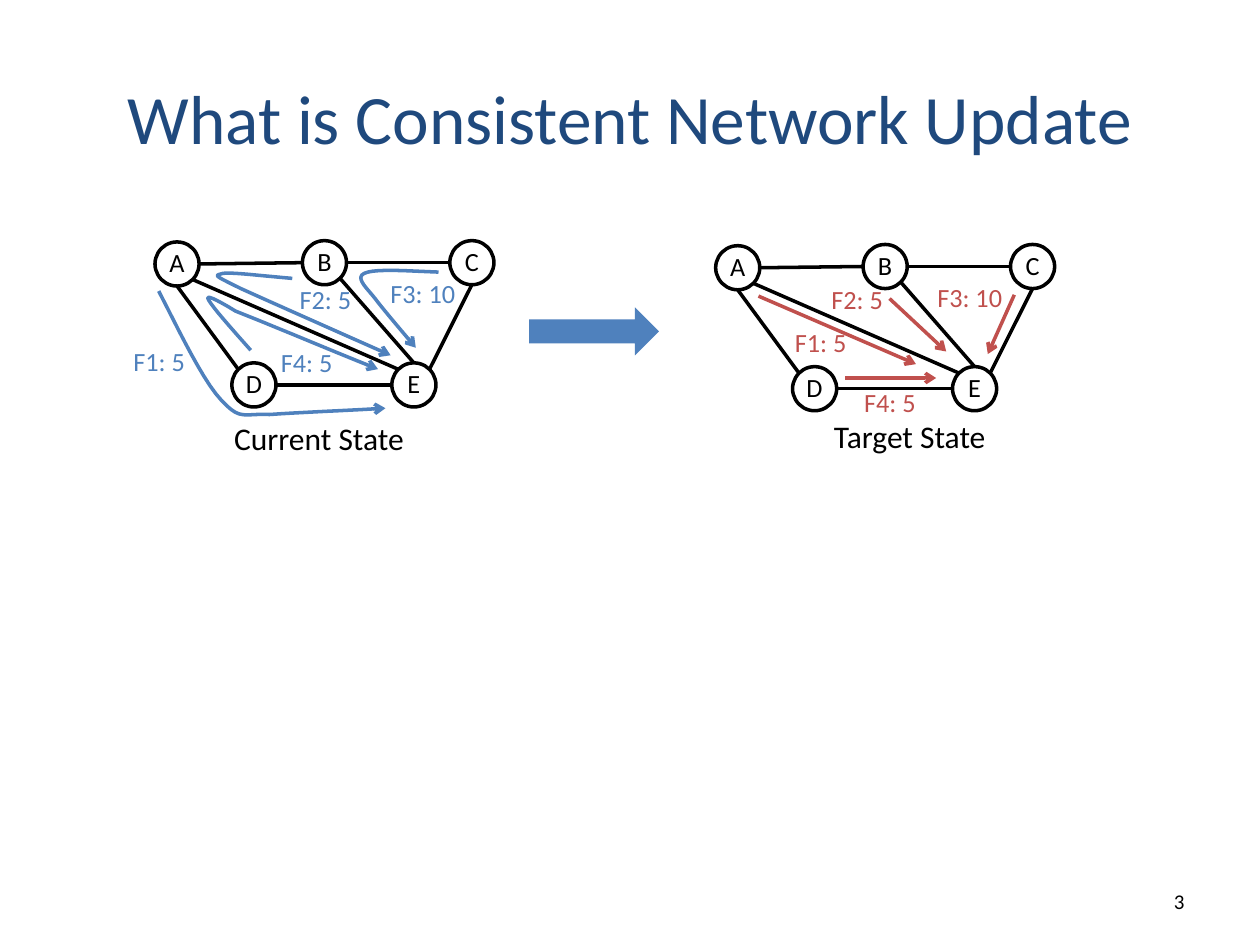
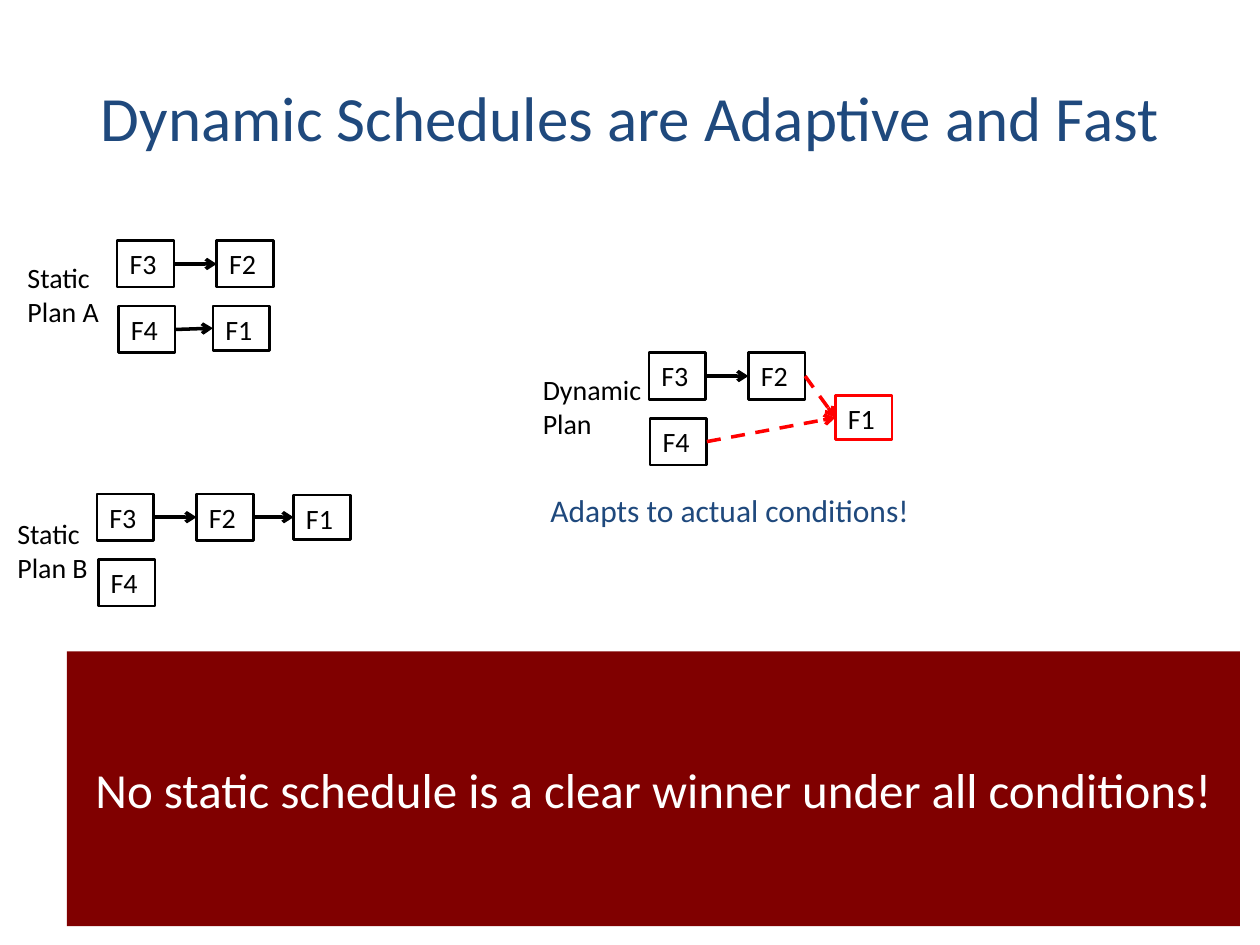
import math

from lxml import etree
from pptx import Presentation
from pptx.dml.color import RGBColor
from pptx.enum.dml import MSO_LINE
from pptx.enum.shapes import MSO_CONNECTOR, MSO_SHAPE
from pptx.enum.text import MSO_ANCHOR, PP_ALIGN
from pptx.oxml.ns import qn
from pptx.util import Inches, Pt

STRAIGHT = MSO_CONNECTOR.STRAIGHT
OVAL, RECTANGLE, RIGHT_ARROW = MSO_SHAPE.OVAL, MSO_SHAPE.RECTANGLE, MSO_SHAPE.RIGHT_ARROW
TOP, MIDDLE = MSO_ANCHOR.TOP, MSO_ANCHOR.MIDDLE
LEFT, CENTER, RIGHT = PP_ALIGN.LEFT, PP_ALIGN.CENTER, PP_ALIGN.RIGHT
DASH = MSO_LINE.DASH
LEFT_SITE, RIGHT_SITE = 1, 3

FONT = "Calibri"
COLORS = {
    "title": "1F497D", "text": "000000", "white": "FFFFFF", "current": "4F81BD",
    "target": "C0504D", "changed": "FF0000", "band": "800000",
}

# Network: node offsets, and links given as (node, angle, node, angle)
NODE_SIZE = 0.35
NODES = {"A": (0, 0.01), "B": (1.17, 0), "C": (2.34, 0), "D": (0.61, 0.97), "E": (1.88, 0.97)}
LINKS = [
    ("B", 180, "A", 0), ("C", 180, "B", 0), ("D", 225, "A", 90), ("E", 225, "A", 45),
    ("E", 180, "D", 0), ("C", 90, "E", 315), ("E", 270, "B", 45),
]

# Flows: first point, then three points for each curve
CURRENT_FLOWS = [
    [(0.03, 0.4), (0.21, 0.75), (0.38, 1.11), (0.53, 1.27),
     (0.68, 1.43), (0.7, 1.37), (0.91, 1.38), (1.2, 1.36), (1.5, 1.35), (1.83, 1.33)],
    [(2.25, 0.25), (2, 0.24), (1.74, 0.22), (1.66, 0.26),
     (1.58, 0.3), (1.7, 0.39), (1.77, 0.49), (1.84, 0.58), (2.07, 0.85), (2.07, 0.85)],
    [(1.09, 0.3), (0.85, 0.28), (0.61, 0.25), (0.54, 0.26),
     (0.47, 0.28), (0.46, 0.27), (0.68, 0.38), (0.9, 0.48), (1.87, 0.91), (1.87, 0.91)],
    [(0.76, 0.87), (0.6, 0.69), (0.44, 0.51), (0.42, 0.46),
     (0.4, 0.41), (0.64, 0.56), (0.64, 0.56), (1.02, 0.71), (1.39, 0.87), (1.77, 1.02)],
]
CURRENT_LABELS = [("F1: 5", -0.27, 0.78), ("F4: 5", 0.9, 0.79),
                  ("F2: 5", 1.05, 0.29), ("F3: 10", 1.77, 0.24)]
TARGET_FLOWS = [
    ((2.37, 0.4), (2.16, 0.87)), ((1.38, 0.43), (1.83, 0.85)),
    ((1.03, 1.06), (1.75, 1.06)), ((0.34, 0.41), (1.59, 0.95)),
]
TARGET_LABELS = [("F1: 5", 0.53, 0.6), ("F4: 5", 1.08, 1.08),
                 ("F2: 5", 0.82, 0.26), ("F3: 10", 1.66, 0.24)]


def color(name):
    return RGBColor.from_string(COLORS[name])


def write(shape, lines, size, color_name, align=LEFT, anchor=TOP):
    frame = shape.text_frame
    frame.word_wrap = True
    frame.vertical_anchor = anchor
    for index, line in enumerate(lines):
        paragraph = frame.add_paragraph() if index else frame.paragraphs[0]
        paragraph.alignment = align
        run = paragraph.add_run()
        run.text = line
        run.font.name, run.font.size = FONT, Pt(size)
        run.font.color.rgb = color(color_name)


def add_text(slide, box, lines, size, color_name="text", align=LEFT, anchor=TOP):
    shape = slide.shapes.add_textbox(*map(Inches, box))
    write(shape, lines, size, color_name, align, anchor)


def add_box(slide, kind, box, fill=None, line=None, width=2):
    shape = slide.shapes.add_shape(kind, *map(Inches, box))
    shape.shadow.inherit = False
    if fill:
        shape.fill.solid()
        shape.fill.fore_color.rgb = color(fill)
    else:
        shape.fill.background()
    if line:
        shape.line.color.rgb = color(line)
        shape.line.width = Pt(width)
    else:
        shape.line.fill.background()
    return shape


def style_line(shape, color_name, arrow=False):
    shape.line.color.rgb = color(color_name)
    shape.line.width = Pt(2)
    if arrow:
        outline = shape.line._get_or_add_ln()
        etree.SubElement(outline, qn("a:tailEnd"), type="arrow")


def add_line(slide, start, end, color_name="text", arrow=False):
    connector = slide.shapes.add_connector(STRAIGHT, *map(Inches, (*start, *end)))
    style_line(connector, color_name, arrow)
    etree.SubElement(connector._element.spPr, qn("a:effectLst"))
    return connector


def curve_points(points, steps=10):
    """Sample a chain of cubic curves."""
    sampled = [points[0]]
    for first in range(0, len(points) - 1, 3):
        controls = points[first:first + 4]
        for step in range(1, steps + 1):
            t = step / steps
            weights = [math.comb(3, i) * t ** i * (1 - t) ** (3 - i) for i in range(4)]
            sampled.append(tuple(sum(w * point[axis] for w, point in zip(weights, controls))
                                 for axis in (0, 1)))
    return sampled


def add_curve(slide, points, color_name):
    start, *others = [(Inches(x), Inches(y)) for x, y in curve_points(points)]
    builder = slide.shapes.build_freeform(*start)
    builder.add_line_segments(others, close=False)
    shape = builder.convert_to_shape()
    shape.shadow.inherit = False
    shape.fill.background()
    style_line(shape, color_name, arrow=True)


def add_titled_slide(presentation, title, size):
    slide = presentation.slides.add_slide(presentation.slide_layouts[5])
    shape = slide.shapes.title
    shape.left, shape.top, shape.width, shape.height = map(Inches, (0.5, 0.3, 9, 1.25))
    write(shape, [title], size, "title", CENTER, MIDDLE)
    return slide


def add_network(slide, left, top, labels, label_color):
    def rim(node, angle):
        x, y = NODES[node]
        radius, turn = NODE_SIZE / 2, math.radians(angle)
        return (left + x + radius * (1 + math.cos(turn)),
                top + y + radius * (1 + math.sin(turn)))

    for start, start_angle, end, end_angle in LINKS:
        add_line(slide, rim(start, start_angle), rim(end, end_angle))
    for name, (x, y) in NODES.items():
        node = add_box(slide, OVAL, (left + x, top + y, NODE_SIZE, NODE_SIZE), line="text")
        frame = node.text_frame
        frame.margin_left = frame.margin_right = frame.margin_top = 0
        frame.margin_bottom = Inches(0.03)
        write(node, [name], 15, "text", CENTER, MIDDLE)
    for label, x, y in labels:
        add_text(slide, (left + x, top + y, 0.98, 0.35), [label], 15, label_color)


def add_current_state(slide, left, top):
    add_network(slide, left, top, CURRENT_LABELS, "current")
    for flow in CURRENT_FLOWS:
        add_curve(slide, [(left + x, top + y) for x, y in flow], "current")
    add_text(slide, (left + 0.53, top + 1.37, 1.58, 0.4), ["Current State"], 18)


def add_target_state(slide, left, top):
    add_network(slide, left, top, TARGET_LABELS, "target")
    for flow in TARGET_FLOWS:
        start, end = [(left + x, top + y) for x, y in flow]
        add_line(slide, start, end, "target", arrow=True)
    add_text(slide, (left + 0.84, top + 1.32, 1.45, 0.4), ["Target State"], 18)


def add_plan(slide, left, top, label, label_box, last_step, arrows, changed=()):
    """Draw F3, F2 and F4 in fixed places, F1 at last_step, and the arrows between them."""
    x, y, width = label_box
    add_text(slide, (left + x, top + y, width, 0.64), label, 16)
    places = {"F3": (0, 0, 0.37), "F4": (0.01, 0.52, 0.37),
              "F2": (0.79, 0, 0.37), "F1": (*last_step, 0.35)}
    steps = {}
    for name, (x, y, height) in places.items():
        line = "changed" if changed and name == "F1" else "text"
        steps[name] = add_box(slide, RECTANGLE, (left + x, top + y, 0.45, height),
                              line=line, width=1.5)
        write(steps[name], [name], 16, "text")
    for start, end in arrows:
        is_changed = (start, end) in changed
        arrow = add_line(slide, (left, top), (left, top),
                         "changed" if is_changed else "text", arrow=True)
        arrow.begin_connect(steps[start], RIGHT_SITE)
        arrow.end_connect(steps[end], LEFT_SITE)
        if is_changed:
            arrow.line.dash_style = DASH


def build_update_slide(presentation):
    slide = add_titled_slide(presentation, "What is Consistent Network Update", 39.6)
    add_current_state(slide, 1.23, 1.91)
    add_box(slide, RIGHT_ARROW, (4.2, 2.44, 1.03, 0.38), fill="current")
    add_target_state(slide, 5.68, 1.94)
    # Slide number
    add_text(slide, (7.17, 6.95, 2.33, 0.4), ["3"], 12, align=RIGHT, anchor=MIDDLE)


def build_schedule_slide(presentation):
    slide = add_titled_slide(presentation, "Dynamic Schedules are Adaptive and Fast", 36)
    # Plans
    add_plan(slide, 0.93, 1.91, ["Static", "Plan A"], (-0.81, 0.11, 0.93), (0.76, 0.52),
             [("F3", "F2"), ("F4", "F1")])
    add_plan(slide, 0.77, 3.92, ["Static", "Plan B"], (-0.73, 0.13, 0.93), (1.56, 0.01),
             [("F3", "F2"), ("F2", "F1")])
    new_arrows = [("F4", "F1"), ("F2", "F1")]
    add_plan(slide, 5.15, 2.8, ["Dynamic", "Plan"], (-0.94, 0.11, 1.22), (1.48, 0.34),
             [("F3", "F2"), *new_arrows], changed=new_arrows)
    add_text(slide, (4.27, 3.85, 3.11, 0.4), ["Adapts to actual conditions!"], 18, "title")
    # Conclusion band
    band = add_box(slide, RECTANGLE, (0.53, 5.17, 9.31, 2.18), fill="band")
    write(band, ["No static schedule is a clear winner under all conditions!"],
          28, "white", CENTER, MIDDLE)


def main():
    presentation = Presentation()
    presentation.slide_width, presentation.slide_height = Inches(10), Inches(7.5)
    build_update_slide(presentation)
    build_schedule_slide(presentation)
    presentation.save("out.pptx")


if __name__ == "__main__":
    main()
